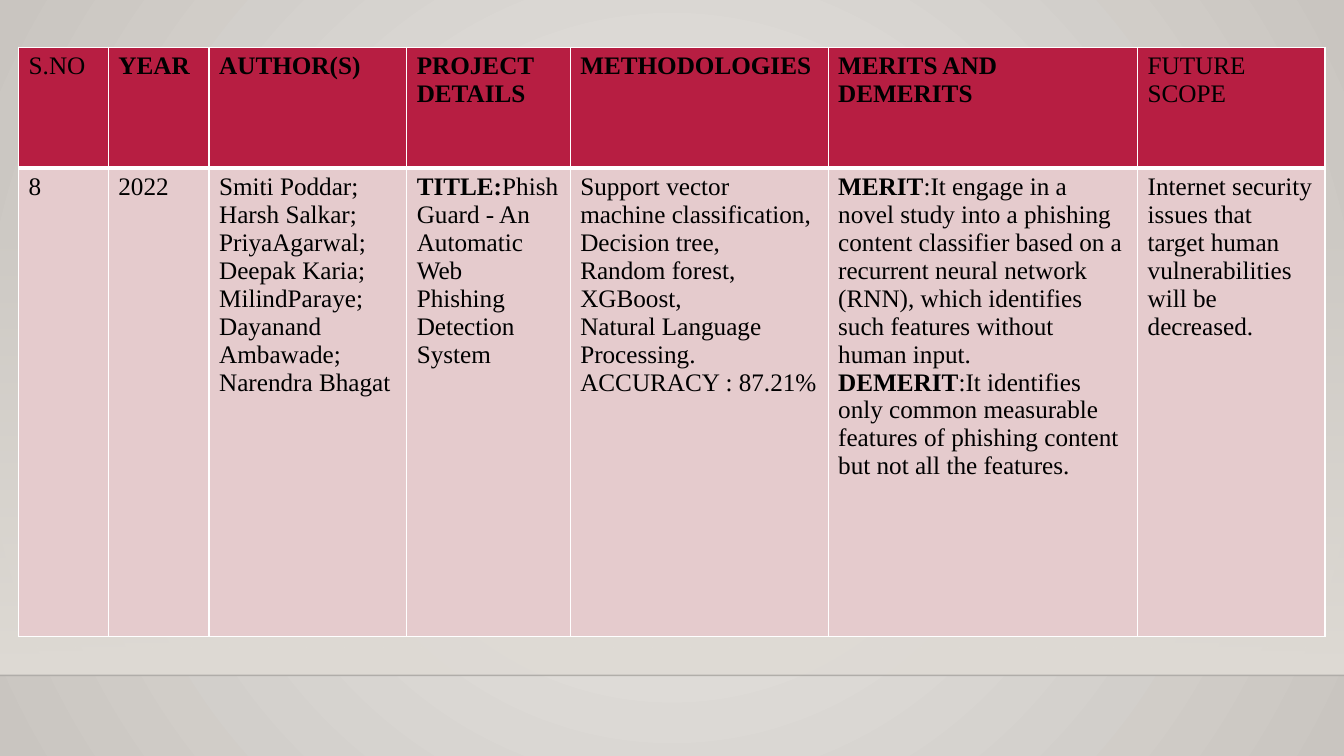
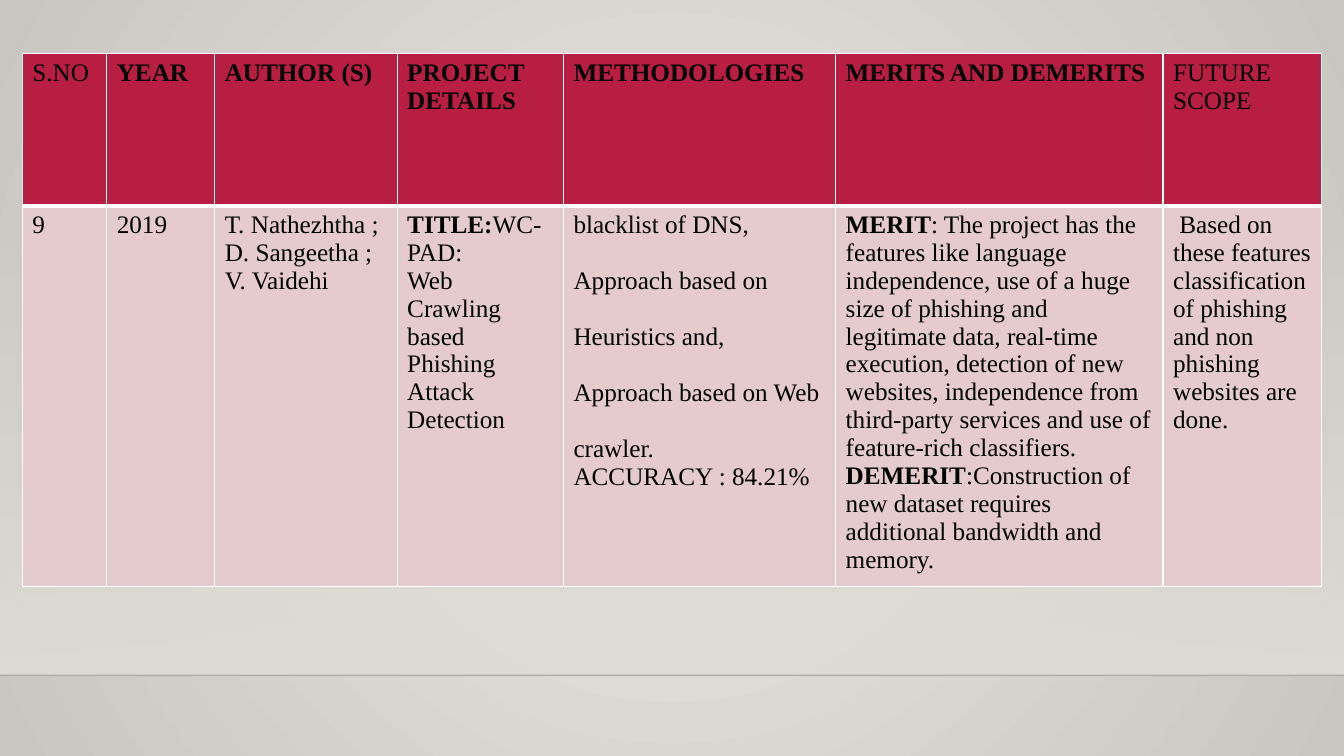
import dataclasses

import lxml.etree
import pptx
import pptx.dml.color
import pptx.enum.shapes
import pptx.oxml.ns
import pptx.util

Cm = pptx.util.Cm
Pt = pptx.util.Pt
qn = pptx.oxml.ns.qn
rgb = pptx.dml.color.RGBColor.from_string


@dataclasses.dataclass
class Theme:
    font: str = "Times New Roman"
    size: int = 18
    ink: str = "000000"
    head: str = "B71E42"
    body: str = "E5CBCD"
    rule: str = "FFFFFF"
    glow: str = "EBE9E6"
    edge: str = "C9C5C0"
    band: str = "DFDBD5"
    line: str = "000001"


theme = Theme()


def write(frame, text, bold=False, gap=0, loose=0):
    for i, row in enumerate(text.split("\n")):
        para = frame.paragraphs[0] if i == 0 else frame.add_paragraph()
        if i < loose:
            para.space_after = Pt(gap)
        lead, _, rest = row.rpartition("|")
        for part, heavy in ((lead, True), (rest, bold)):
            if part:
                run = para.add_run()
                run.text = part
                run.font.name = theme.font
                run.font.size = Pt(theme.size)
                run.font.bold = heavy
                run.font.color.rgb = rgb(theme.ink)


def add(root, tag, **attrs):
    return lxml.etree.SubElement(root, qn(tag), attrs)


heads = ["S.NO", "YEAR", "AUTHOR(S)", "PROJECT\nDETAILS", "METHODOLOGIES",
         "MERITS AND DEMERITS", "FUTURE SCOPE"]
light = {"S.NO", "FUTURE SCOPE"}

pages = [
    {
        "left": 0.47, "top": 1.19,
        "cols": [2.26, 2.54, 4.98, 4.12, 6.5, 7.8, 4.72],
        "rows": [3.05, 11.79],
        "loose": 0,
        "heads": heads,
        "cells": [
            "8",
            "2022",
            "Smiti Poddar;\nHarsh Salkar;\nPriyaAgarwal;\nDeepak Karia;\n"
            "MilindParaye;\nDayanand\nAmbawade;\nNarendra Bhagat",
            "TITLE:|Phish\nGuard - An\nAutomatic\nWeb\nPhishing\nDetection\nSystem",
            "Support vector machine classification,\nDecision tree,\nRandom forest,\n"
            "XGBoost,\nNatural Language Processing.\nACCURACY : 87.21%",
            "MERIT|:It engage in a novel study into a phishing content classifier "
            "based on a recurrent neural network (RNN), which identifies such "
            "features without human input.\n"
            "DEMERIT|:It identifies only common measurable features of phishing "
            "content but not all the features.",
            "Internet security issues that target human vulnerabilities will be "
            "decreased.",
        ],
    },
    {
        "left": 0.56, "top": 1.35,
        "cols": [2.13, 2.72, 4.6, 4.19, 6.86, 8.25, 3.99],
        "rows": [3.84, 9.58],
        "loose": 4,
        "heads": heads[:2] + ["AUTHOR (S)", "PROJECT DETAILS"] + heads[4:],
        "cells": [
            "9",
            "2019",
            "T. Nathezhtha ;\nD. Sangeetha ;\nV. Vaidehi",
            "TITLE:|WC-PAD:\nWeb\nCrawling\nbased\nPhishing\nAttack\nDetection",
            "blacklist of DNS,\nApproach based on\nHeuristics and,\n"
            "Approach based on Web\ncrawler.\nACCURACY : 84.21%",
            "MERIT|: The project has the features like language independence, use "
            "of a huge size of phishing and legitimate data, real-time execution, "
            "detection of new websites, independence from third-party services and "
            "use of feature-rich classifiers.\n"
            "DEMERIT|:Construction of new dataset requires additional bandwidth "
            "and memory.",
            " Based on these features classification of phishing and non phishing "
            "websites are done.",
        ],
    },
]

deck = pptx.Presentation()
deck.slide_width = Cm(33.87)
deck.slide_height = Cm(19.05)
floor = Cm(17.02)

back = deck.slide_master.background.fill
back.gradient()
for stop, tint in zip(back.gradient_stops, (theme.glow, theme.edge)):
    stop.color.rgb = rgb(tint)
grad = deck.slide_master.element.find(".//" + qn("a:gradFill"))
grad.remove(grad.find(qn("a:lin")))
ring = add(grad, "a:path", path="circle")
add(ring, "a:fillToRect", l="50000", t="50000", r="50000", b="50000")

for page in pages:
    slide = deck.slides.add_slide(deck.slide_layouts[6])
    shapes = slide.shapes

    band = shapes.add_shape(pptx.enum.shapes.MSO_SHAPE.RECTANGLE,
                            0, Cm(5.61), deck.slide_width, floor - Cm(5.61))
    band.shadow.inherit = False
    band.line.fill.background()
    band.fill.gradient()
    band.fill.gradient_angle = 270
    for stop in band.fill.gradient_stops:
        stop.color.rgb = rgb(theme.band)
    add(band.element.find(".//" + qn("a:srgbClr")), "a:alpha", val="0")

    line = shapes.add_connector(pptx.enum.shapes.MSO_CONNECTOR.STRAIGHT,
                                0, floor, deck.slide_width, floor)
    line.line.width = Pt(1)
    line.line.color.rgb = rgb(theme.line)
    add(line.element.find(".//" + qn("a:srgbClr")), "a:alpha", val="20000")
    add(line.element.spPr, "a:effectLst")

    table = shapes.add_table(2, len(heads), Cm(page["left"]), Cm(page["top"]),
                             Cm(sum(page["cols"])), Cm(sum(page["rows"]))).table
    for col, width in zip(table.columns, page["cols"]):
        col.width = Cm(width)
    for row, height in zip(table.rows, page["rows"]):
        row.height = Cm(height)

    for r, texts in enumerate((page["heads"], page["cells"])):
        thick = "a:lnT" if r else "a:lnB"
        for c, text in enumerate(texts):
            cell = table.cell(r, c)
            props = cell._tc.get_or_add_tcPr()
            for side in ("a:lnL", "a:lnR", "a:lnT", "a:lnB"):
                rule = add(props, side, w=str(Pt(3 if side == thick else 1)))
                add(add(rule, "a:solidFill"), "a:srgbClr", val=theme.rule)
            cell.fill.solid()
            cell.fill.fore_color.rgb = rgb(theme.body if r else theme.head)
            write(cell.text_frame, text, bold=r == 0 and text not in light,
                  gap=20, loose=page["loose"] if r and c == 4 else 0)

deck.save("out.pptx")
